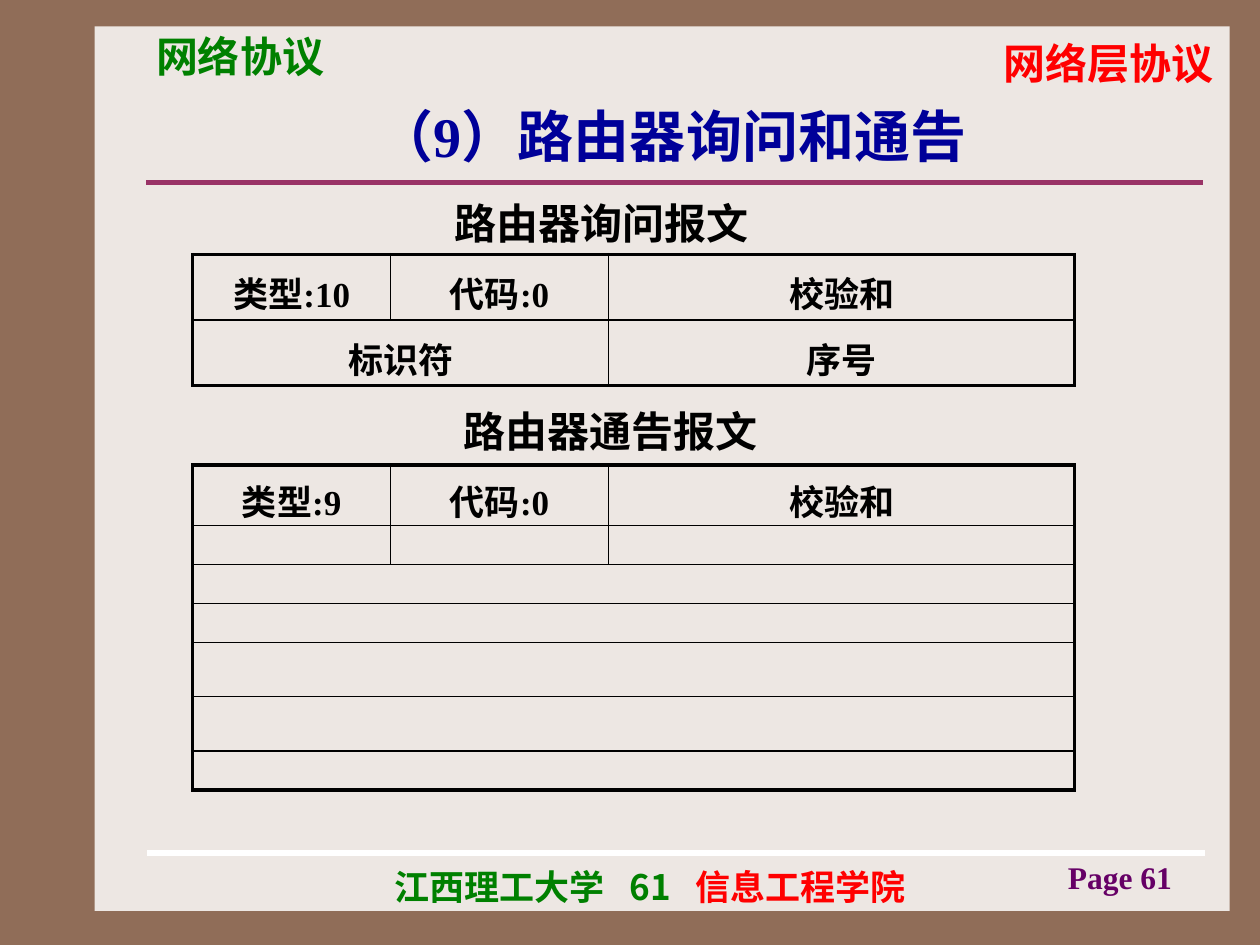
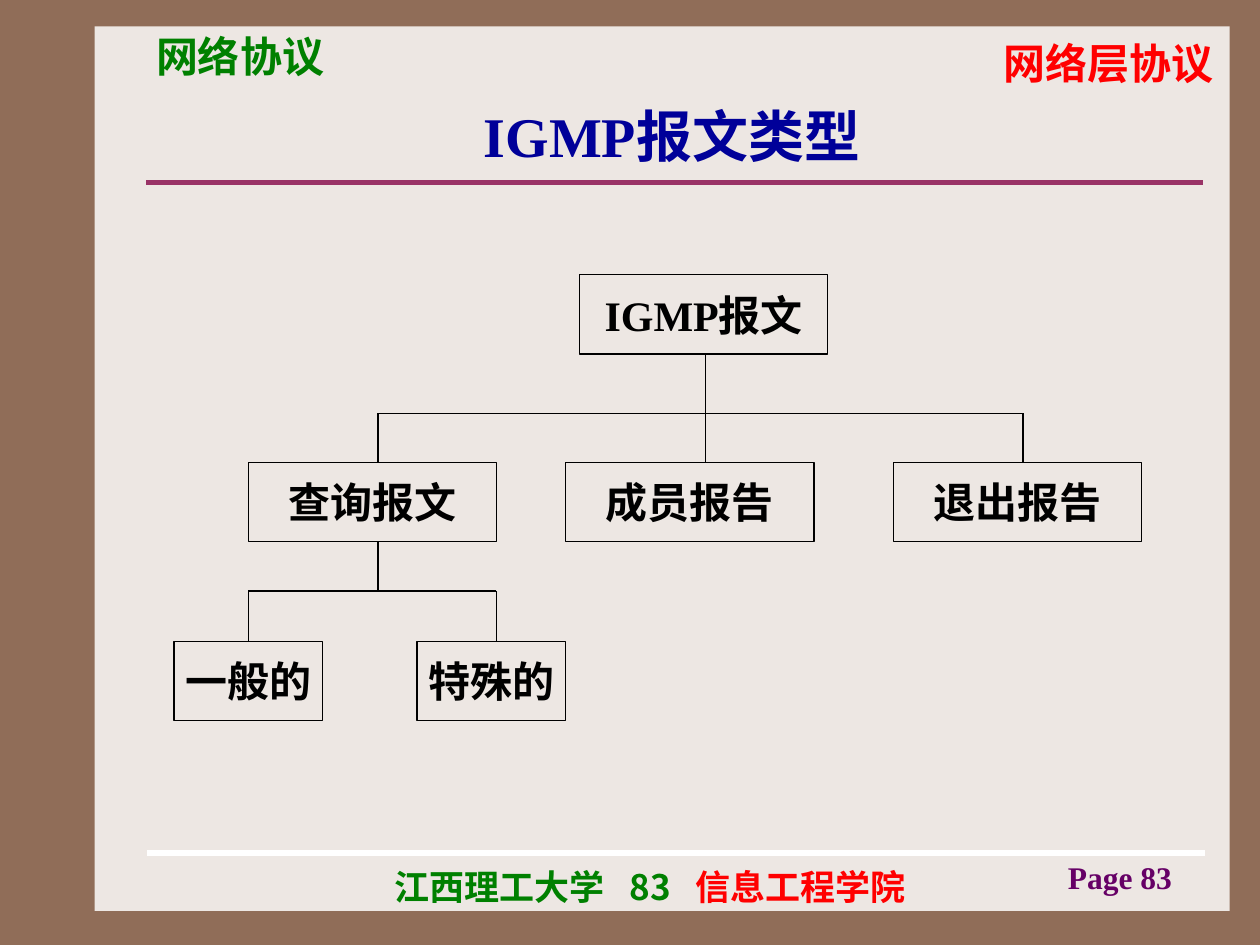
from lxml import etree
from pptx import Presentation
from pptx.dml.color import RGBColor
from pptx.enum.shapes import MSO_CONNECTOR, MSO_SHAPE
from pptx.enum.text import MSO_ANCHOR, PP_ALIGN
from pptx.oxml.ns import qn
from pptx.util import Inches, Pt

BACKDROP, PAPER, BLACK, WHITE = "906D58", "EDE7E3", "000000", "FFFFFF"
GREEN, RED, NAVY, PLUM, RULE = "008000", "FF0000", "000099", "660066", "993366"
SERIF, SANS, CHINESE = "Times New Roman", "Arial", "Noto Sans CJK SC"
LEFT, CENTER, RIGHT = PP_ALIGN.LEFT, PP_ALIGN.CENTER, PP_ALIGN.RIGHT
NO_TABLE_STYLE = "{2D5ABB26-0587-4C30-8999-92F81FD0307C}"
THICK, THIN = 2.25, 1


def write(frame, runs, size, font=SERIF, align=LEFT):
    """Fill the first paragraph of a text frame with (text, colour) runs."""
    paragraph = frame.paragraphs[0]
    paragraph.alignment = align
    for text, color in runs:
        run = paragraph.add_run()
        run.text = text
        run.font.size = Pt(size)
        run.font.bold = True
        run.font.name = font
        run.font.color.rgb = RGBColor.from_string(color)
        east_asian = etree.Element(qn("a:ea"), typeface=CHINESE)
        run.font._element.find(qn("a:latin")).addnext(east_asian)
    return paragraph


def add_line(slide, x1, y1, x2, y2, color=BLACK, width=0.75):
    line = slide.shapes.add_connector(
        MSO_CONNECTOR.STRAIGHT, Inches(x1), Inches(y1), Inches(x2), Inches(y2))
    line.line.color.rgb = RGBColor.from_string(color)
    line.line.width = Pt(width)
    etree.SubElement(line.element.spPr, qn("a:effectLst"))
    return line


presentation = Presentation()
presentation.slide_width = Inches(10)
presentation.slide_height = Inches(7.5)
background = presentation.slide_master.background.fill
background.solid()
background.fore_color.rgb = RGBColor.from_string(BACKDROP)

# Frame, header, footer and title of every slide
slides = []
for title, number in [("（9）路由器询问和通告", 61), ("IGMP报文类型", 83)]:
    slide = presentation.slides.add_slide(presentation.slide_layouts[5])
    slides.append(slide)
    paper = slide.shapes.add_shape(
        MSO_SHAPE.RECTANGLE, Inches(0.75), Inches(0.21), Inches(9.01), Inches(7.02))
    paper.shadow.inherit = False
    paper.fill.solid()
    paper.fill.fore_color.rgb = RGBColor.from_string(PAPER)
    paper.line.fill.background()
    slide.shapes._spTree.insert(2, paper.element)

    for place, runs, size, font, align in [
        ((5.08, 0.25, 4.65, 0.5), [("网络层协议", RED)], 24, SANS, RIGHT),
        ((1.14, 0.19, 2.6, 0.5), [("网络协议", GREEN)], 24, SANS, LEFT),
        ((3.03, 6.82, 4.41, 0.43),
         [(f"江西理工大学\t{number}\t", GREEN), ("信息工程学院", RED)], 20, CHINESE, LEFT),
        ((7.98, 6.76, 1.42, 0.35), [(f"Page {number}", PLUM)], 18, SERIF, RIGHT),
    ]:
        frame = slide.shapes.add_textbox(*map(Inches, place)).text_frame
        frame.word_wrap = True
        paragraph = write(frame, runs, size, font, align)
        if "\t" in runs[0][0]:
            tabs = etree.SubElement(paragraph._p.get_or_add_pPr(), qn("a:tabLst"))
            for stop in (1.87, 2.39):
                etree.SubElement(tabs, qn("a:tab"), pos=str(Inches(stop)), algn="l")

    add_line(slide, 1.16, 1.45, 9.55, 1.45, RULE, 3)
    add_line(slide, 1.17, 6.77, 9.56, 6.77, WHITE, 3)

    heading = slide.shapes.title
    heading.left, heading.top = Inches(1.17), Inches(0.75)
    heading.width, heading.height = Inches(8.33), Inches(0.64)
    heading.text_frame.vertical_anchor = MSO_ANCHOR.MIDDLE
    write(heading.text_frame, [(title, NAVY)], 32, align=CENTER)

router_slide, igmp_slide = slides

# Router messages: caption place, table top, row heights, margins, texts, merges
column_widths = [1.57, 1.73, 3.7]
messages = [
    ("路由器询问报文", 3.51, 1.52, 2.02, [0.52] * 2, (0.1, 0.02),
     [["类型:10", "代码:0", "校验和"], ["标识符", "", "序号"]], [(1, 1)]),
    ("路由器通告报文", 3.58, 3.17, 3.69, [0.48, 0.31, 0.31, 0.31, 0.43, 0.43, 0.31], (0.02, 0),
     [["类型:9", "代码:0", "校验和"]], [(row, 2) for row in range(2, 7)]),
]
for caption, caption_left, caption_top, table_top, heights, margins, texts, merges in messages:
    caption_box = router_slide.shapes.add_textbox(
        Inches(caption_left), Inches(caption_top), Inches(3.7), Inches(0.5))
    caption_box.text_frame.word_wrap = True
    write(caption_box.text_frame, [(caption, BLACK)], 24)

    holder = router_slide.shapes.add_table(
        len(heights), 3, Inches(1.53), Inches(table_top),
        Inches(sum(column_widths)), Inches(sum(heights)))
    holder.element.find(".//" + qn("a:tableStyleId")).text = NO_TABLE_STYLE
    table = holder.table
    table.first_row = table.horz_banding = False
    for column, width in zip(table.columns, column_widths):
        column.width = Inches(width)
    for row, height in zip(table.rows, heights):
        row.height = Inches(height)
    for row, last_column in merges:
        table.cell(row, 0).merge(table.cell(row, last_column))

    last_row = len(heights) - 1
    for r in range(len(heights)):
        for c in range(3):
            cell = table.cell(r, c)
            cell.margin_left = cell.margin_right = Inches(margins[0])
            cell.margin_top = cell.margin_bottom = Inches(margins[1])
            end = c + cell.span_width if cell.is_merge_origin else c + 1
            edges = {"a:lnL": c == 0, "a:lnR": end == 3, "a:lnT": r == 0, "a:lnB": r == last_row}
            if cell.is_spanned:
                del edges["a:lnL"]
            properties = cell._tc.get_or_add_tcPr()
            for tag, outer in edges.items():
                border = etree.SubElement(
                    properties, qn(tag), w=str(Pt(THICK if outer else THIN)))
                fill = etree.SubElement(border, qn("a:solidFill"))
                etree.SubElement(fill, qn("a:srgbClr"), val=BLACK)
            cell.fill.background()
            text = texts[r][c] if r < len(texts) else ""
            if text:
                write(cell.text_frame, [(text, BLACK)], 20, align=CENTER).line_spacing = 1.2
            else:
                etree.SubElement(cell.text_frame.paragraphs[0]._p, qn("a:endParaRPr"), sz="1200")

# IGMP message tree
nodes = {}
for text, left, top, width in [
    ("IGMP报文", 4.6, 2.18, 1.97),
    ("查询报文", 1.97, 3.67, 1.97),
    ("成员报告", 4.49, 3.67, 1.97),
    ("退出报告", 7.09, 3.67, 1.97),
    ("一般的", 1.38, 5.09, 1.18),
    ("特殊的", 3.31, 5.09, 1.18),
]:
    node = igmp_slide.shapes.add_shape(
        MSO_SHAPE.RECTANGLE, Inches(left), Inches(top), Inches(width), Inches(0.63))
    node.shadow.inherit = False
    node.fill.background()
    node.line.color.rgb = RGBColor.from_string(BLACK)
    node.line.width = Pt(0.75)
    node.text_frame.word_wrap = False
    node.text_frame.vertical_anchor = MSO_ANCHOR.MIDDLE
    write(node.text_frame, [(text, BLACK)], 24, align=CENTER)
    nodes[text] = node

# Each branch: stem x, stem top, bar height, child top, outer child positions
for stem, stem_top, bar, child_top, stem_bottom, children in [
    (5.6, 2.81, 3.28, 3.67, 3.67, (3, 8.12)),
    (3, 4.3, 4.69, 5.09, 4.69, (1.97, 3.94)),
]:
    add_line(igmp_slide, stem, stem_top, stem, stem_bottom)
    add_line(igmp_slide, children[0], bar, children[1], bar)
    for x in children:
        drop = add_line(igmp_slide, x, bar, x, child_top)
        if x == 1.97:
            drop.end_connect(nodes["一般的"], 0)

presentation.save("out.pptx")
